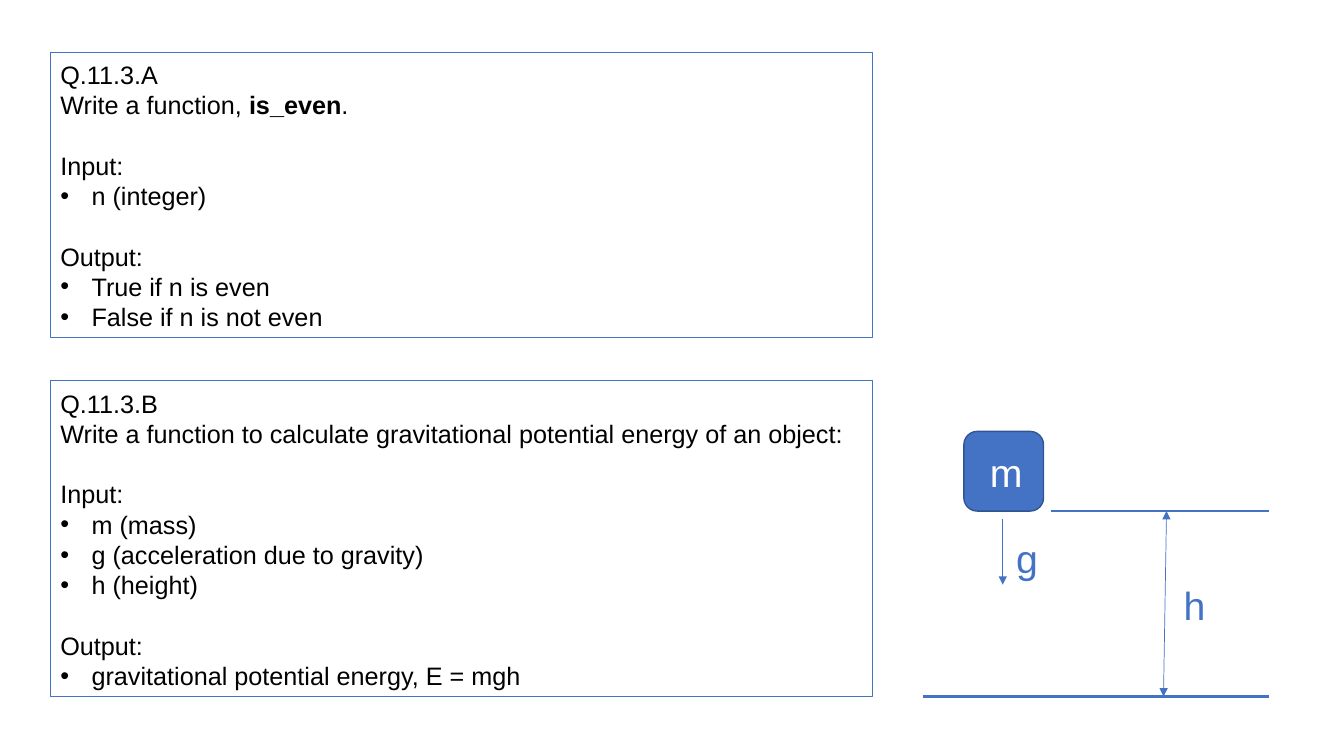
import pptx
import pptx.util
import pptx.dml.color
import pptx.enum.shapes
import pptx.enum.text
import pptx.oxml.ns
from lxml import etree

COLORS = {"blue": "4472C4", "edge": "325491", "text": "000000", "white": "FFFFFF"}
FONT = "Arial"
LINE_HEIGHT = 1.2  # in multiples of the font size
INDENT = 3.1       # columns

# Grid: 133.3 columns by 75 rows over the whole slide
COLUMNS, ROWS = 133.3, 75
presentation = pptx.Presentation()
presentation.slide_width = pptx.util.Inches(13.33)
presentation.slide_height = pptx.util.Inches(7.5)


def across(columns):
    return round(presentation.slide_width * columns / COLUMNS)


def down(rows):
    return round(presentation.slide_height * rows / ROWS)


def place(left, top, width, height):
    return across(left), down(top), across(width), down(height)


def rgb(name):
    return pptx.dml.color.RGBColor.from_string(COLORS[name])


def add_bullet(paragraph):
    properties = paragraph._p.get_or_add_pPr()
    properties.set("marL", str(across(INDENT)))
    properties.set("indent", str(-across(INDENT)))
    for tag, key, value in (("a:buFont", "typeface", FONT), ("a:buChar", "char", "•")):
        etree.SubElement(properties, pptx.oxml.ns.qn(tag)).set(key, value)


def write_text(paragraph, text, size=18, color="text", bullet=False, gap=False):
    """Write text into a paragraph; parts between asterisks are bold."""
    paragraph.alignment = pptx.enum.text.PP_ALIGN.LEFT
    paragraph.line_spacing = pptx.util.Pt(size * LINE_HEIGHT)
    if gap:
        paragraph.space_before = pptx.util.Pt(size * LINE_HEIGHT)
    if bullet:
        add_bullet(paragraph)
    for index, part in enumerate(text.split("*")):
        if part:
            run = paragraph.add_run()
            run.text = part
            run.font.name = FONT
            run.font.size = pptx.util.Pt(size)
            run.font.bold = index % 2 == 1
            run.font.color.rgb = rgb(color)


def prepare_frame(shape):
    frame = shape.text_frame
    frame.word_wrap = True
    frame.vertical_anchor = pptx.enum.text.MSO_ANCHOR.TOP
    frame.margin_top = down(0.7)
    frame.margin_bottom = 0
    return frame


def add_box(slide, kind, box, line, weight, fill=None):
    shape = slide.shapes.add_shape(kind, *place(*box))
    shape.shadow.inherit = False
    shape.line.color.rgb = rgb(line)
    shape.line.width = pptx.util.Pt(weight)
    if fill:
        shape.fill.solid()
        shape.fill.fore_color.rgb = rgb(fill)
    else:
        shape.fill.background()
    return shape


def add_line(slide, start, end, weight, arrows=()):
    connector = slide.shapes.add_connector(
        pptx.enum.shapes.MSO_CONNECTOR.STRAIGHT,
        across(start[0]), down(start[1]), across(end[0]), down(end[1]))
    connector.line.color.rgb = rgb("blue")
    connector.line.width = pptx.util.Pt(weight)
    outline = connector.line._get_or_add_ln()
    for tag in arrows:
        etree.SubElement(outline, pptx.oxml.ns.qn(tag)).set("type", "triangle")
    etree.SubElement(connector._element.spPr, pptx.oxml.ns.qn("a:effectLst"))


def add_question(slide, box, heading, sections):
    """Framed question: heading lines, then titled bullet lists."""
    rectangle = pptx.enum.shapes.MSO_SHAPE.RECTANGLE
    frame = prepare_frame(add_box(slide, rectangle, box, "blue", 0.75))
    lines = [(text, {}) for text in heading]
    for title, items in sections.items():
        lines.append((title, {"gap": True}))
        lines += [(item, {"bullet": True}) for item in items]
    for index, (text, options) in enumerate(lines):
        paragraph = frame.add_paragraph() if index else frame.paragraphs[0]
        write_text(paragraph, text, **options)


def add_diagram(slide, box):
    """Falling mass m at height h above the ground."""
    left, top, width, height = box
    right, ground = left + width, top + height
    side = 7.9
    level = top + side
    center = left + 4.1 + side / 2

    # Ground, height arrow and level of the mass
    add_line(slide, (left, ground), (right, ground), 2)
    add_line(slide, (left + 23.9, ground), (left + 24.2, level), 0.5,
             ("a:headEnd", "a:tailEnd"))
    add_line(slide, (left + 12.7, level), (right, level), 1)

    # Mass and gravity arrow
    rounded = pptx.enum.shapes.MSO_SHAPE.ROUNDED_RECTANGLE
    add_box(slide, rounded, (left + 4.1, top, side, side), "edge", 1, "blue")
    add_line(slide, (center - 0.1, level + 0.8), (center - 0.1, level + 7.3), 0.5,
             ("a:tailEnd",))

    # Labels
    for text, x, y, color in (("m", 5.7, 1, "white"), ("h", 24.9, 14.2, "blue"),
                              ("g", 8.3, 9.5, "blue")):
        label = slide.shapes.add_textbox(*place(left + x, top + y, 4.4, 5.7))
        write_text(prepare_frame(label).paragraphs[0], text, size=28, color=color)


slide = presentation.slides.add_slide(presentation.slide_layouts[6])
add_question(slide, (5, 5.2, 81.5, 28.3),
             ["Q.11.3.A", "Write a function, *is_even*."],
             {"Input:": ["n (integer)"],
              "Output:": ["True if n is even", "False if n is not even"]})
add_question(slide, (5, 37.8, 81.5, 31.3),
             ["Q.11.3.B",
              "Write a function to calculate gravitational potential energy of an object:"],
             {"Input:": ["m (mass)", "g (acceleration due to gravity)", "h (height)"],
              "Output:": ["gravitational potential energy, E = mgh"]})
add_diagram(slide, (91.5, 42.8, 34.4, 26.3))
presentation.save("out.pptx")
